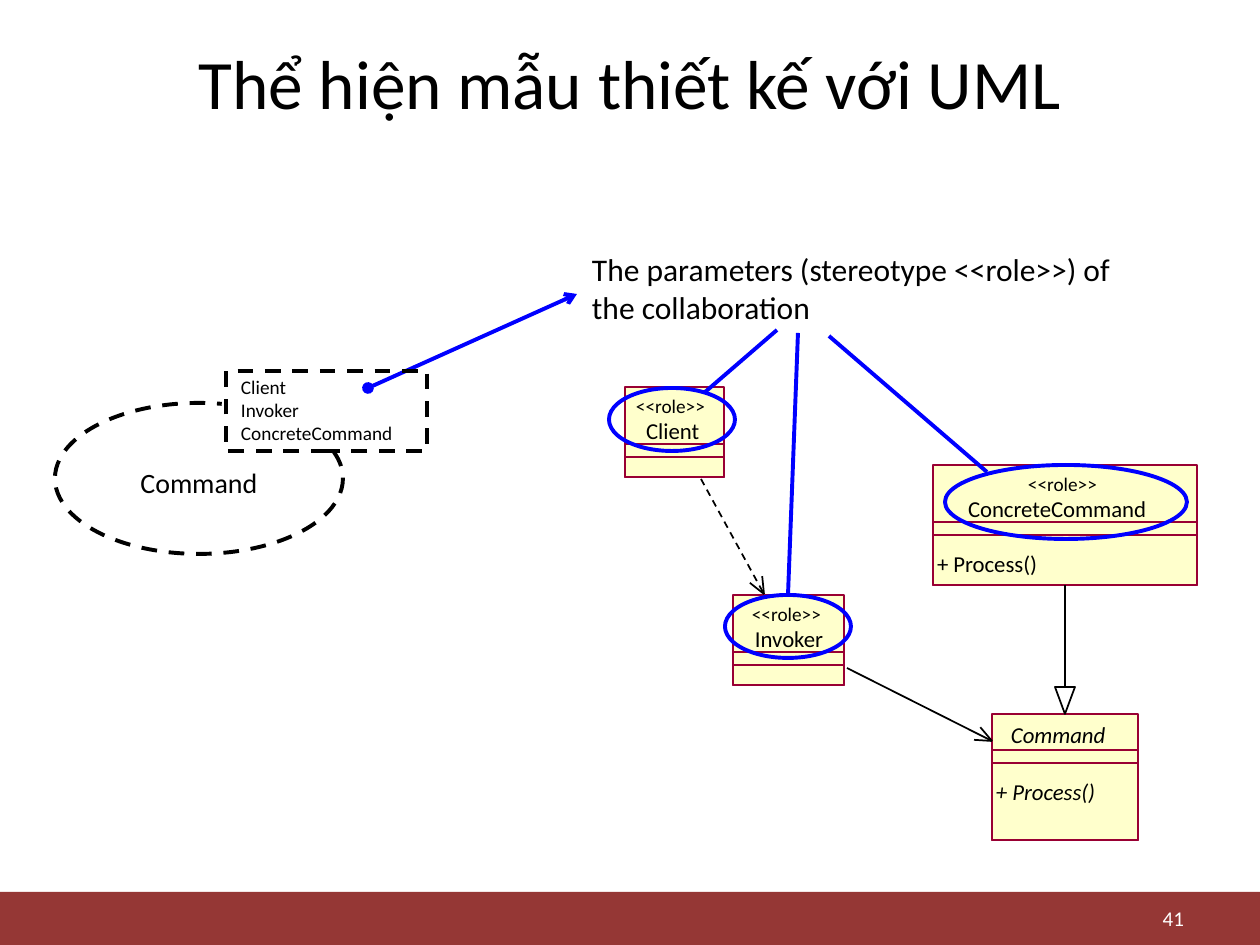
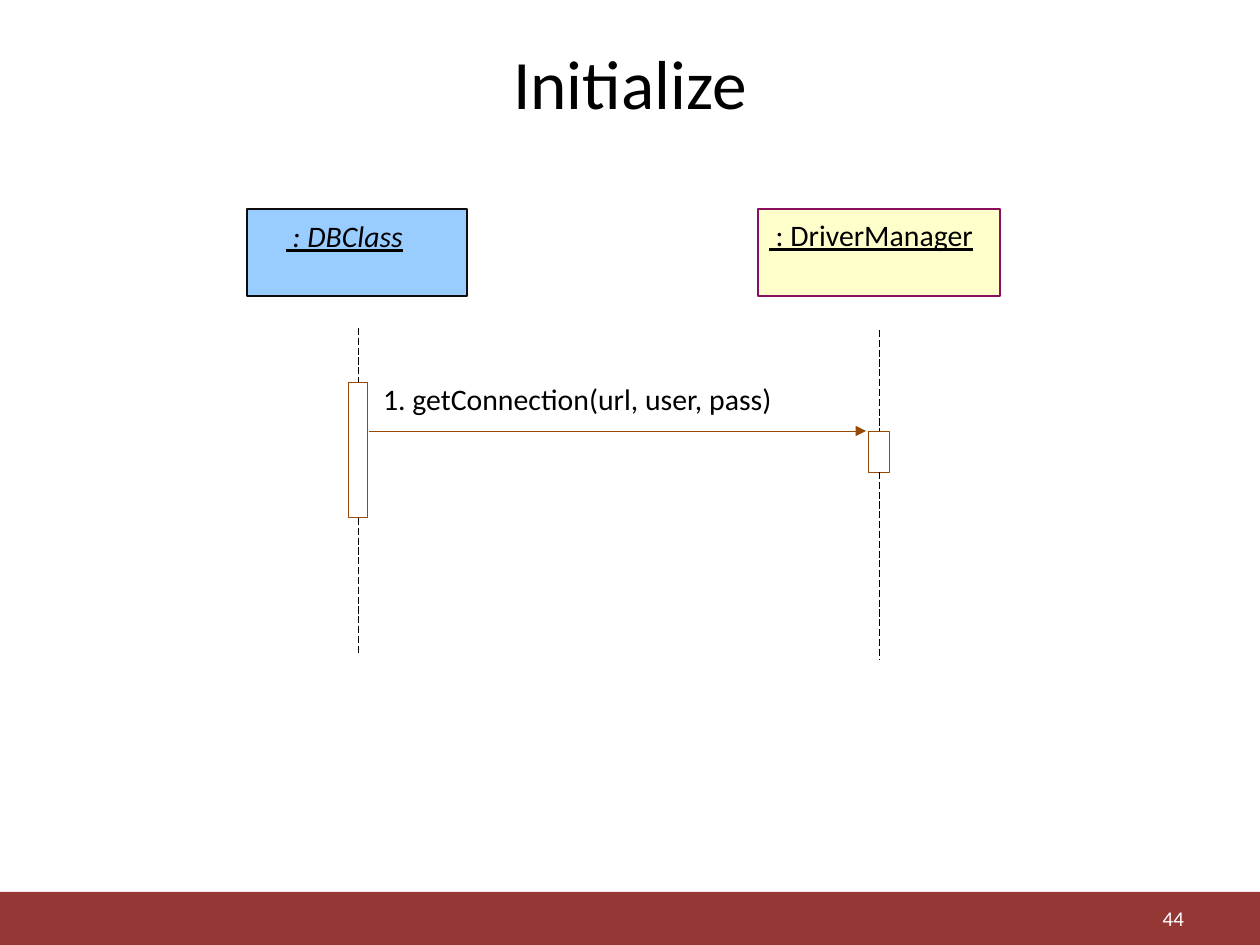
from math import atan2, cos, radians, sin

from lxml.etree import SubElement
from pptx import Presentation
from pptx.dml.color import RGBColor
from pptx.enum.dml import MSO_LINE
from pptx.enum.shapes import MSO_CONNECTOR, MSO_SHAPE
from pptx.enum.text import MSO_ANCHOR, MSO_AUTO_SIZE, PP_ALIGN
from pptx.oxml.ns import qn
from pptx.util import Emu, Inches, Pt

PAGE_WIDTH, PAGE_HEIGHT = 1260, 945
EMU_PER_PX = Inches(10) / PAGE_WIDTH
COLORS = {
    "text": "000000",
    "white": "FFFFFF",
    "band": "953735",
    "class_fill": "FFFFCC",
    "class_line": "990033",
    "mark": "0000FF",
    "activation": "984807",
    "object_fill": "99CCFF",
    "object_line": "0D0D0D",
    "manager_line": "8A0E5E",
}
TOP, BOTTOM = 0, 2


def px(*lengths):
    return [Emu(round(length * EMU_PER_PX)) for length in lengths]


def color(name):
    return RGBColor.from_string(COLORS[name])


class Slides:
    """Holds the deck, its style and the page being drawn."""

    font = "Calibri"

    def __init__(self):
        self.deck = Presentation()
        self.deck.slide_width, self.deck.slide_height = px(PAGE_WIDTH, PAGE_HEIGHT)
        self.page = None

    def new_page(self, title, number):
        self.page = self.deck.slides.add_slide(self.deck.slide_layouts[6])
        self.shape(0, 892, PAGE_WIDTH, 53, fill="band", line=None)
        self.text(title, 63, 38, 1134, 88, 39.6, align=PP_ALIGN.CENTER,
                  anchor=MSO_ANCHOR.MIDDLE, inset=(13, 6))
        self.text(str(number), 903, 901, 294, 34, 12, ink="white", align=PP_ALIGN.RIGHT,
                  anchor=MSO_ANCHOR.MIDDLE, inset=(13, 6))

    def style_line(self, line, ink, weight, dash):
        line.color.rgb = color(ink)
        line.width = Pt(weight)
        if dash:
            line.dash_style = dash

    def shape(self, left, top, width, height, fill=None, line="text", weight=1,
              dash=None, preset=MSO_SHAPE.RECTANGLE):
        shape = self.page.shapes.add_shape(preset, *px(left, top, width, height))
        shape.shadow.inherit = False
        if fill:
            shape.fill.solid()
            shape.fill.fore_color.rgb = color(fill)
        else:
            shape.fill.background()
        if line:
            self.style_line(shape.line, line, weight, dash)
        else:
            shape.line.fill.background()
        return shape

    def text(self, text, left, top, width, height, size, ink="text", align=PP_ALIGN.LEFT,
             anchor=MSO_ANCHOR.TOP, inset=(0, 0), wrap=True, italic=False, underline=False):
        """Adds a text box with one paragraph for each line of text."""
        box = self.page.shapes.add_textbox(*px(left, top, width, height))
        frame = box.text_frame
        frame.word_wrap = wrap
        frame.auto_size = MSO_AUTO_SIZE.NONE if wrap else MSO_AUTO_SIZE.SHAPE_TO_FIT_TEXT
        frame.vertical_anchor = anchor
        frame.margin_left, frame.margin_top = px(*inset)
        frame.margin_right, frame.margin_bottom = px(*inset)
        for index, words in enumerate(text.split("\n")):
            para = frame.add_paragraph() if index else frame.paragraphs[0]
            para.alignment = align
            span = para.add_run()
            span.text = words
            span.font.name = self.font
            span.font.size = Pt(size)
            span.font.color.rgb = color(ink)
            span.font.italic = italic
            span.font.underline = underline

    def label(self, text, left, top, width, size=13, **style):
        """Adds one unwrapped line of text without margins."""
        self.text(text, left, top, width, round(size * 2.1), size, wrap=False, **style)

    def connector(self, start, end, ink="text", weight=1, dash=None, head=None, tail=None,
                  begin=None, finish=None):
        """Draws a line; begin and finish are (shape, site) pairs to join."""
        line = self.page.shapes.add_connector(MSO_CONNECTOR.STRAIGHT, *px(*start, *end))
        if begin:
            line.begin_connect(*begin)
        if finish:
            line.end_connect(*finish)
        self.style_line(line.line, ink, weight, dash)
        properties = line.element.spPr
        outline = properties.find(qn("a:ln"))
        for tag, kind in (("a:headEnd", head), ("a:tailEnd", tail)):
            if kind:
                SubElement(outline, qn(tag), type=kind)
        SubElement(properties, qn("a:effectLst"))

    def open_arrow(self, start, end, dash=None):
        """Draws a line that ends in a wide open head made of two strokes."""
        self.connector(start, end, dash=dash)
        direction = atan2(end[1] - start[1], end[0] - start[0])
        for turn in (-23, 23):
            angle = direction + radians(turn)
            wing = (end[0] - 18 * cos(angle), end[1] - 18 * sin(angle))
            self.connector(end, wing)

    def mark_ellipse(self, left, top, width, height):
        return self.shape(left, top, width, height, line="mark", weight=2.25,
                          preset=MSO_SHAPE.OVAL)

    def uml_class(self, name, left, top, width, height, name_indent, name_width,
                  role_indent=None, operation=None, italic=False):
        """Draws a class box with its name, attribute and operation compartments."""
        has_role = role_indent is not None
        attributes = 57 if has_role else 36
        operations = attributes + 13
        frame = self.shape(left, top, width, height, fill="class_fill", line="class_line")
        for offset in (attributes, operations):
            self.shape(left, top + offset, width, height - offset, line="class_line")
        self.label(name, left + name_indent, top + (30 if has_role else 7), name_width,
                   italic=italic)
        if has_role:
            self.label("<<role>>", left + role_indent, top + 7, 77, size=11)
        if operation:
            self.label(operation, left + 4, top + operations + 15, 117, italic=italic)
        return frame

    def lifeline(self, bar, center, start, bar_top, bar_bottom, end):
        """Draws the dashed line above and below an activation bar."""
        style = {"weight": 0.5, "dash": MSO_LINE.LONG_DASH}
        self.connector((center, start), (center, bar_top), finish=(bar, TOP), **style)
        self.connector((center, bar_bottom), (center, end), begin=(bar, BOTTOM), **style)


def draw_collaboration(slides):
    slides.new_page("Thể hiện mẫu thiết kế với UML", 41)
    slides.text("The parameters (stereotype <<role>>) of the collaboration",
                577, 242, 577, 91, 18, inset=(15, 8))

    concrete = slides.uml_class("ConcreteCommand", 933, 465, 264, 120, 35, 198,
                                role_indent=95, operation="+ Process()")
    slides.uml_class("Client", 625, 387, 99, 90, 21, 58, role_indent=11)
    command = slides.uml_class("Command", 992, 714, 146, 126, 19, 106,
                               operation="+ Process()", italic=True)
    slides.uml_class("Invoker", 733, 595, 111, 90, 22, 74, role_indent=19)

    slides.connector((1065, 585), (1065, 714), begin=(concrete, BOTTOM), finish=(command, TOP))
    slides.shape(1055, 687, 20, 27, fill="white", preset=MSO_SHAPE.FLOWCHART_MERGE)
    slides.open_arrow((847, 668), (992, 741))
    slides.open_arrow((701, 479), (764, 594), dash=MSO_LINE.DASH)

    slides.mark_ellipse(945, 465, 242, 74)
    slides.mark_ellipse(609, 388, 126, 63)
    invoker_mark = slides.mark_ellipse(725, 595, 126, 63)
    mark = {"ink": "mark", "weight": 2.25}
    slides.connector((777, 330), (704, 393), **mark)
    slides.connector((798, 333), (788, 595), finish=(invoker_mark, TOP), **mark)
    slides.connector((829, 336), (987, 472), **mark)
    slides.connector((577, 294), (368, 388), head="arrow", tail="oval", **mark)

    dashed = {"weight": 2.25, "dash": MSO_LINE.DASH}
    arc = slides.shape(55, 403, 288, 151, preset=MSO_SHAPE.ARC, **dashed)
    for index, degrees in enumerate((349, 287)):
        arc.adjustments[index] = degrees * 0.6
    slides.text("Command", 122, 460, 154, 47, 16, align=PP_ALIGN.CENTER, inset=(13, 6),
                wrap=False)
    slides.shape(226, 371, 201, 80, **dashed)
    slides.text("Client\nInvoker\nConcreteCommand", 226, 367, 198, 84, 11, inset=(15, 8))


def draw_initialize(slides):
    slides.new_page("Initialize", 44)
    slides.shape(247, 209, 220, 87, fill="object_fill", line="object_line", weight=0)
    slides.label(" : DBClass", 286, 218, 118, size=17, italic=True, underline=True)
    slides.shape(758, 209, 242, 87, fill="class_fill", line="manager_line", weight=0)
    slides.label(" : DriverManager", 769, 217, 224, size=17, underline=True)

    bar = {"line": "activation", "weight": 0.5}
    caller = slides.shape(348, 382, 20, 136, **bar)
    manager = slides.shape(868, 431, 22, 41, **bar)
    slides.lifeline(caller, 358, 328, 382, 518, 655)
    slides.lifeline(manager, 879, 330, 431, 472, 659)
    slides.connector((369, 431), (866, 431), ink="activation", weight=0.5, tail="triangle")
    slides.label("1. getConnection(url, user, pass)", 383, 381, 432, size=17)


def main():
    slides = Slides()
    draw_collaboration(slides)
    draw_initialize(slides)
    slides.deck.save("out.pptx")


if __name__ == "__main__":
    main()
